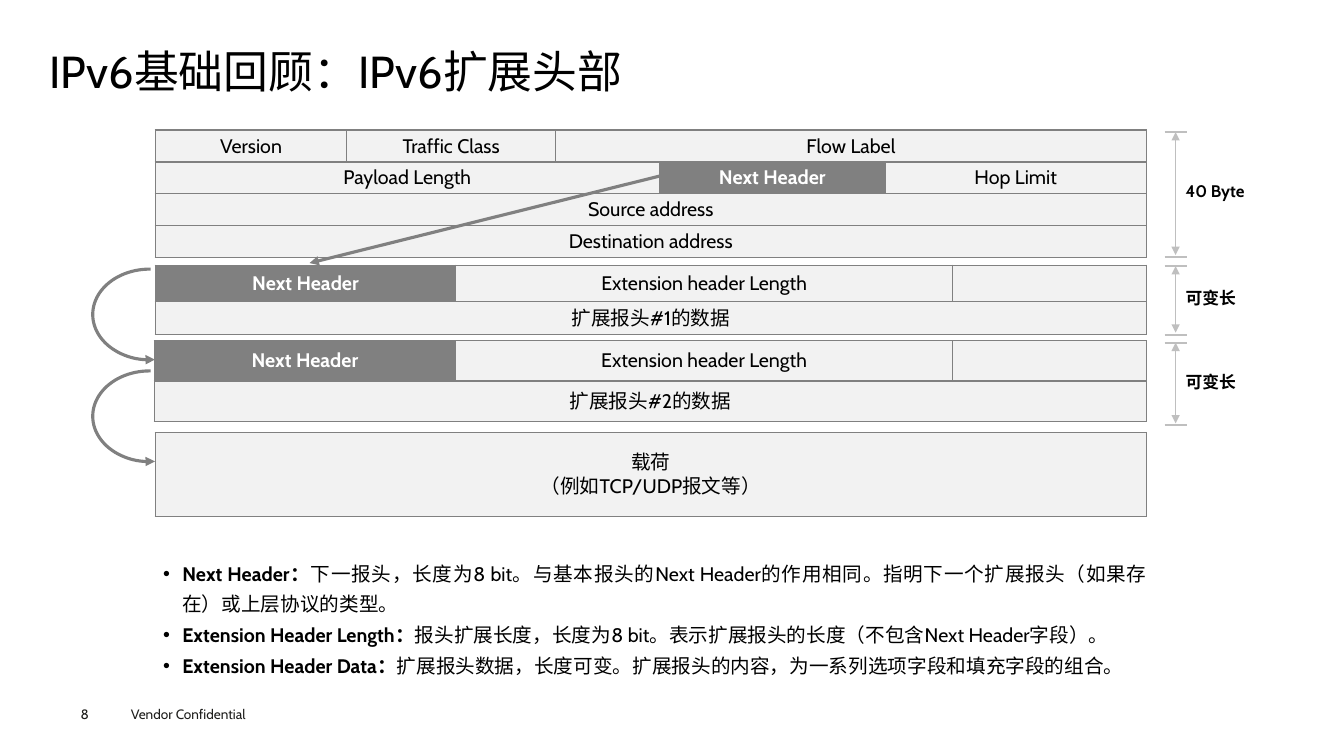
"""Build the slide about IPv6 extension headers."""
from dataclasses import dataclass

from lxml import etree
from pptx import Presentation
from pptx.dml.color import RGBColor
from pptx.enum.shapes import MSO_CONNECTOR, MSO_SHAPE
from pptx.enum.text import MSO_ANCHOR, PP_ALIGN
from pptx.oxml.ns import qn
from pptx.util import Inches, Pt

STRAIGHT = MSO_CONNECTOR.STRAIGHT
ARC = MSO_SHAPE.ARC
TOP, MIDDLE = MSO_ANCHOR.TOP, MSO_ANCHOR.MIDDLE
LEFT, CENTER, JUSTIFY = PP_ALIGN.LEFT, PP_ALIGN.CENTER, PP_ALIGN.JUSTIFY
FONT = "Cabin"
BLACK, WHITE, FOOTER = "000000", "FFFFFF", "1D1D1B"
GRAY, PALE, SILVER = "808080", "F2F2F2", "BFBFBF"
NEXT_HEADER = "Next Header"


@dataclass(frozen=True)
class HeaderTable:
    """A packet header: position, column widths and rows of (text, span)."""
    left: float
    top: float
    columns: tuple
    row_height: float
    rows: tuple
    margins: tuple = (0.04, 0.04)


@dataclass(frozen=True)
class Extent:
    """A vertical dimension with its label."""
    top: float
    bottom: float
    label: str
    label_top: float
    label_width: float


def extension_rows(number: int) -> tuple:
    """Return the rows of one extension header."""
    return (((NEXT_HEADER, 1), ("Extension header Length", 1), ("", 1)),
            ((f"扩展报头#{number}的数据", 3),))


TABLES = (
    HeaderTable(1.54, 1.29, (1.9, 2.07, 1.03, 2.24, 2.59), 0.31, (
        (("Version", 1), ("Traffic Class", 1), ("Flow Label", 3)),
        (("Payload Length", 3), (NEXT_HEADER, 1), ("Hop Limit", 1)),
        (("Source address", 5),),
        (("Destination address", 5),))),
    HeaderTable(1.54, 2.63, (2.98, 4.93, 1.92), 0.33, extension_rows(1)),
    HeaderTable(1.53, 3.38, (2.99, 4.93, 1.92), 0.4, extension_rows(2), (0.1, 0.05)),
    HeaderTable(1.54, 4.29, (9.83,), 0.83,
                ((("载荷\n（例如TCP/UDP报文等）", 1),),), (0.1, 0.05)),
)
EXTENTS = (
    Extent(1.31, 2.55, "40 Byte", 1.74, 0.81),
    Extent(2.64, 3.32, "可变长", 2.81, 0.71),
    Extent(3.4, 4.22, "可变长", 3.64, 0.71),
)
NOTES = (
    ("Next Header：", "下一报头，长度为8 bit。与基本报头的Next Header的作用相同。"
     "指明下一个扩展报头（如果存在）或上层协议的类型。"),
    ("Extension Header Length：",
     "报头扩展长度，长度为8 bit。表示扩展报头的长度（不包含Next Header字段）。"),
    ("Extension Header Data：",
     "扩展报头数据，长度可变。扩展报头的内容，为一系列选项字段和填充字段的组合。"),
)


def rgb(value: str) -> RGBColor:
    """Turn a hex string into a colour."""
    return RGBColor.from_string(value)


def write(paragraph, text: str, *, size: float = 14, color: str = BLACK,
          bold: bool = False, align=LEFT) -> None:
    """Add one formatted run to a paragraph."""
    paragraph.alignment = align
    run = paragraph.add_run()
    run.text = text
    run.font.size = Pt(size)
    run.font.bold = bold
    run.font.color.rgb = rgb(color)
    run.font.name = FONT
    etree.SubElement(run.font._element, qn("a:ea"), typeface=FONT)


def add_text_box(slide, left: float, top: float, width: float, height: float,
                 *, wrap: bool = True, inset: bool = True):
    """Add a text box and return its text frame."""
    box = slide.shapes.add_textbox(Inches(left), Inches(top), Inches(width), Inches(height))
    frame = box.text_frame
    frame.word_wrap = wrap
    if not inset:
        frame.margin_left = frame.margin_right = frame.margin_top = frame.margin_bottom = 0
    return frame


def style_line(shape, color: str, width: float, ends: tuple = ()) -> None:
    """Set a line's colour, width and arrowheads."""
    shape.line.color.rgb = rgb(color)
    shape.line.width = Pt(width)
    outline = shape.element.spPr.find(qn("a:ln"))
    for end in ends:
        etree.SubElement(outline, qn(f"a:{end}"), type="triangle")


def add_line(slide, start: tuple, finish: tuple, color: str, width: float,
             ends: tuple = ()) -> None:
    """Add a straight line without shadow."""
    points = [Inches(value) for value in (*start, *finish)]
    connector = slide.shapes.add_connector(STRAIGHT, *points)
    style_line(connector, color, width, ends)
    etree.SubElement(connector.element.spPr, qn("a:effectLst"))


def style_cell(cell, fill: str, margins: tuple) -> None:
    """Set a cell's borders, fill, margins and anchor."""
    properties = cell._tc.get_or_add_tcPr()
    for side in ("lnL", "lnR", "lnT", "lnB"):
        border = etree.SubElement(properties, qn(f"a:{side}"), w=str(Pt(1)))
        solid = etree.SubElement(border, qn("a:solidFill"))
        etree.SubElement(solid, qn("a:srgbClr"), val=GRAY)
    cell.fill.solid()
    cell.fill.fore_color.rgb = rgb(fill)
    cell.margin_left = cell.margin_right = Inches(margins[0])
    cell.margin_top = cell.margin_bottom = Inches(margins[1])
    cell.vertical_anchor = MIDDLE


def add_header_table(slide, header: HeaderTable) -> None:
    """Draw a packet header as a table."""
    frame = slide.shapes.add_table(
        len(header.rows), len(header.columns), Inches(header.left), Inches(header.top),
        Inches(sum(header.columns)), Inches(header.row_height * len(header.rows)))
    table = frame.table
    table.first_row = table.horz_banding = False
    for column, width in zip(table.columns, header.columns):
        column.width = Inches(width)
    for row_index, fields in enumerate(header.rows):
        table.rows[row_index].height = Inches(header.row_height)
        column_index = 0
        for text, span in fields:
            dark = text == NEXT_HEADER
            cells = [table.cell(row_index, column_index + step) for step in range(span)]
            for cell in cells:
                style_cell(cell, GRAY if dark else PALE, header.margins)
            if span > 1:
                cells[0].merge(cells[-1])
            text_frame = cells[0].text_frame
            for line_index, line in enumerate(text.split("\n")):
                paragraph = text_frame.add_paragraph() if line_index else text_frame.paragraphs[0]
                write(paragraph, line, color=WHITE if dark else BLACK, bold=dark, align=CENTER)
            column_index += span


def add_extent(slide, extent: Extent) -> None:
    """Draw a dimension with end bars, double arrow and label."""
    for level in (extent.top, extent.bottom):
        add_line(slide, (11.55, level), (11.77, level), SILVER, 1.5)
    add_line(slide, (11.66, extent.top), (11.66, extent.bottom - 0.02), SILVER, 0.5,
             ("headEnd", "tailEnd"))
    frame = add_text_box(slide, 11.66, extent.label_top, extent.label_width, 0.3, wrap=False)
    write(frame.paragraphs[0], extent.label, size=12, bold=True)


def add_arc(slide, top: float) -> None:
    """Draw a curved arrow to the following header."""
    arc = slide.shapes.add_shape(ARC, Inches(0.92), Inches(top), Inches(1.13), Inches(0.9))
    arc.shadow.inherit = False
    arc.fill.background()
    arc.adjustments[0], arc.adjustments[1] = 50.02, 162.78
    style_line(arc, GRAY, 2.25, ("headEnd",))


def add_notes_list(slide) -> None:
    """Write the bulleted explanations of the fields."""
    frame = add_text_box(slide, 1.52, 5.45, 9.95, 1.34)
    for index, (term, explanation) in enumerate(NOTES):
        paragraph = frame.add_paragraph() if index else frame.paragraphs[0]
        paragraph.line_spacing = Pt(22)
        properties = paragraph._p.get_or_add_pPr()
        properties.set("marL", str(Inches(0.19)))
        properties.set("indent", str(Inches(-0.19)))
        etree.SubElement(properties, qn("a:buFont"), typeface="Arial")
        etree.SubElement(properties, qn("a:buChar"), char="•")
        write(paragraph, term, bold=True, align=JUSTIFY)
        write(paragraph, explanation, align=JUSTIFY)


def main() -> None:
    """Build and save the slide."""
    presentation = Presentation()
    presentation.slide_width, presentation.slide_height = Inches(13.33), Inches(7.5)
    slide = presentation.slides.add_slide(presentation.slide_layouts[5])
    title = slide.shapes.title
    title.left, title.top = Inches(0.49), Inches(0.49)
    title.width, title.height = Inches(12.35), Inches(0.54)
    frame = title.text_frame
    frame.margin_left = frame.margin_right = frame.margin_top = frame.margin_bottom = 0
    frame.vertical_anchor = TOP
    frame.paragraphs[0].line_spacing = 0.9
    write(frame.paragraphs[0], "IPv6基础回顾：IPv6扩展头部", size=32)
    for header in TABLES:
        add_header_table(slide, header)
    add_line(slide, (6.61, 1.73), (3.07, 2.61), GRAY, 2.25, ("tailEnd",))
    for extent in EXTENTS:
        add_extent(slide, extent)
    for top in (2.67, 3.68):
        add_arc(slide, top)
    add_notes_list(slide)
    footer = add_text_box(slide, 1.2, 6.95, 1.6, 0.27)
    write(footer.paragraphs[0], "Vendor Confidential", size=9.7, color=FOOTER)
    number = add_text_box(slide, 0.8, 7, 0.55, 0.16, inset=False)
    write(number.paragraphs[0], "8", size=9.7, color=FOOTER)
    presentation.save("out.pptx")


if __name__ == "__main__":
    main()
